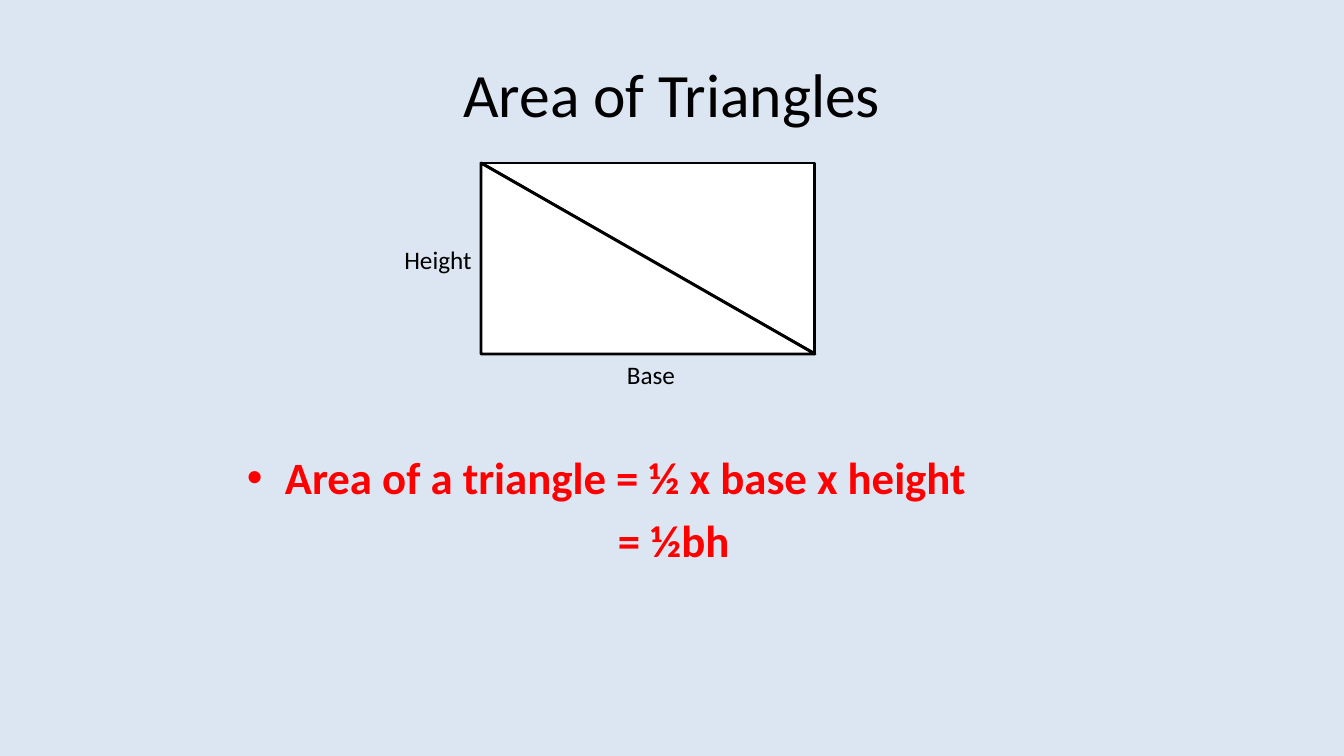
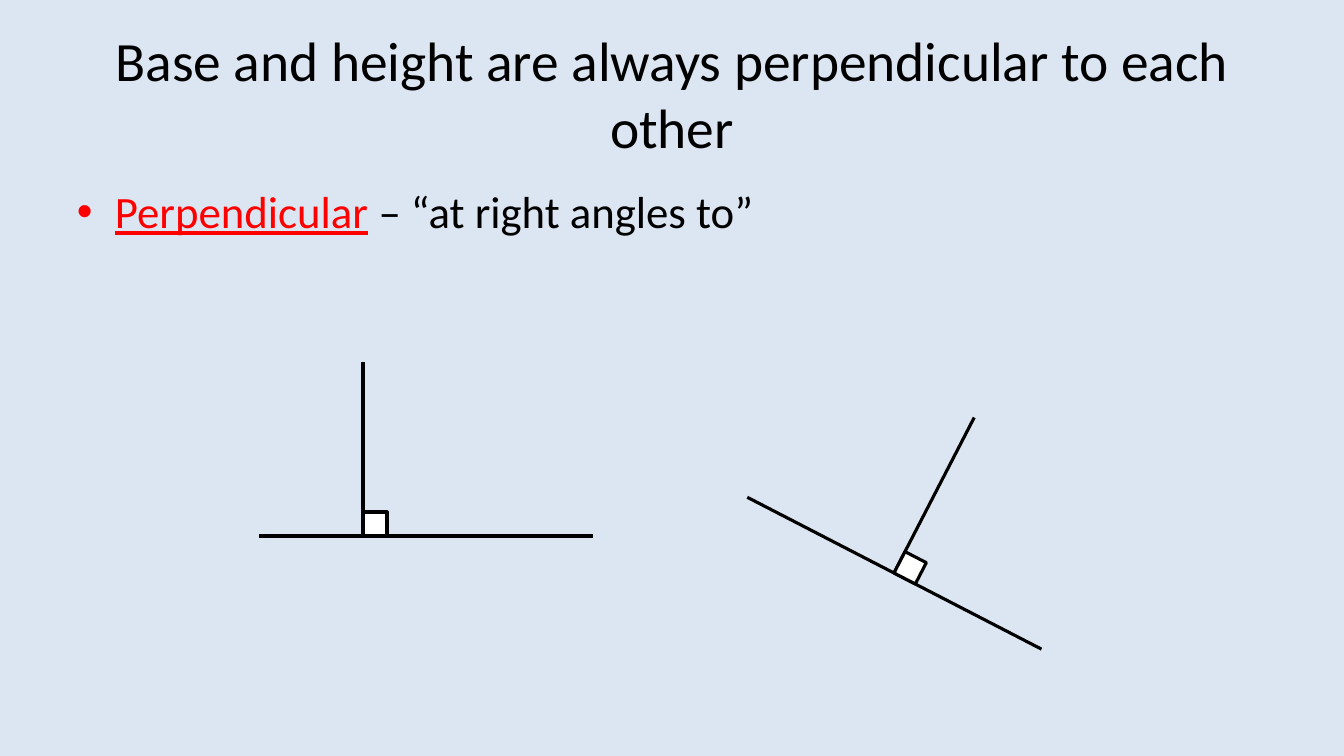
from dataclasses import dataclass
from math import cos, radians, sin

from lxml.etree import SubElement
from pptx import Presentation
from pptx.dml.color import RGBColor
from pptx.enum.shapes import MSO_CONNECTOR, MSO_SHAPE
from pptx.enum.text import MSO_ANCHOR, MSO_AUTO_SIZE, PP_ALIGN
from pptx.oxml.ns import qn
from pptx.util import Emu, Pt


@dataclass(frozen=True)
class Theme:
    font: str = "Calibri"
    background: RGBColor = RGBColor(0xDC, 0xE6, 0xF2)
    ink: RGBColor = RGBColor(0, 0, 0)
    accent: RGBColor = RGBColor(0xFF, 0, 0)
    paper: RGBColor = RGBColor(0xFF, 0xFF, 0xFF)
    title: float = 44
    long_title: float = 39.6
    body: float = 32
    label: float = 18
    body_gap: float = 6.4
    outline: float = 2
    stroke: float = 2.25


@dataclass(frozen=True)
class Box:
    left: int
    top: int
    width: int
    height: int

    def emu(self):
        return [px(side) for side in (self.left, self.top, self.width, self.height)]


THEME = Theme()
PIXELS_PER_INCH = 100.8
PAGE = Box(0, 0, 1344, 756)
TITLE_BOX = Box(67, 30, 1210, 126)
BULLET_INDENT = 38
CORNER = 24


def px(length):
    return Emu(round(length * 914400 / PIXELS_PER_INCH))


def write(para, text, *, size=THEME.body, color=THEME.ink, bold=False, underline=False):
    span = para.add_run()
    span.text = text
    font = span.font
    font.name, font.size, font.color.rgb = THEME.font, Pt(size), color
    font.bold, font.underline = bold, underline


def add_text_box(page, box):
    frame = page.shapes.add_textbox(*box.emu()).text_frame
    frame.word_wrap = True
    return frame


def indent(para, margin, bullet=None):
    properties = para._p.get_or_add_pPr()
    properties.set("marL", str(px(margin)))
    properties.set("indent", str(px(-margin) if bullet else 0))
    if bullet:
        SubElement(properties, qn("a:buFont"), typeface="Arial")
        SubElement(properties, qn("a:buChar"), char=bullet)


def add_label(page, box, text):
    para = add_text_box(page, box).paragraphs[0]
    para.alignment = PP_ALIGN.CENTER
    write(para, text, size=THEME.label)


def add_outline(page, kind, box, width=THEME.outline, turn=0):
    shape = page.shapes.add_shape(kind, *box.emu())
    shape.shadow.inherit = False
    shape.fill.solid()
    shape.fill.fore_color.rgb = THEME.paper
    shape.line.color.rgb = THEME.ink
    shape.line.width = Pt(width)
    shape.rotation = turn


def add_line(page, start, end):
    points = [px(value) for value in (*start, *end)]
    line = page.shapes.add_connector(MSO_CONNECTOR.STRAIGHT, *points)
    line.line.color.rgb = THEME.ink
    line.line.width = Pt(THEME.stroke)
    SubElement(line._element.spPr, qn("a:effectLst"))


def add_titled_page(deck, text, size):
    page = deck.slides.add_slide(deck.slide_layouts[5])
    title = page.shapes.title
    title.left, title.top, title.width, title.height = TITLE_BOX.emu()
    frame = title.text_frame
    frame.word_wrap = True
    frame.auto_size = MSO_AUTO_SIZE.NONE
    frame.vertical_anchor = MSO_ANCHOR.MIDDLE
    para = frame.paragraphs[0]
    para.alignment = PP_ALIGN.CENTER
    write(para, text, size=size)
    return page


def draw_split_rectangle(page, box):
    right, bottom = box.left + box.width, box.top + box.height
    add_outline(page, MSO_SHAPE.RECTANGLE, box)
    add_line(page, (box.left, box.top), (right, bottom))
    add_outline(page, MSO_SHAPE.RIGHT_TRIANGLE, box)
    add_label(page, Box(box.left + 79, bottom, 182, 40), "Base")
    add_label(page, Box(box.left - 134, box.top + 76, 182, 40), "Height")


def draw_right_angle(page, box, foot, turn=0):
    angle = radians(turn)
    foot_x, foot_y = box.left + foot, box.top + box.height

    def turned(along, up):
        return (foot_x + along * cos(angle) + up * sin(angle),
                foot_y + along * sin(angle) - up * cos(angle))

    add_line(page, turned(-foot, 0), turned(box.width - foot, 0))
    add_line(page, turned(0, 0), turned(0, box.height))
    center_x, center_y = turned(CORNER / 2, CORNER / 2)
    corner = Box(center_x - CORNER / 2, center_y - CORNER / 2, CORNER, CORNER)
    add_outline(page, MSO_SHAPE.RECTANGLE, corner, THEME.stroke, turn)


def write_formula(page, box):
    frame = add_text_box(page, box)
    rule = frame.paragraphs[0]
    indent(rule, BULLET_INDENT, "•")
    write(rule, "Area of a triangle = ½ x base x height", color=THEME.accent, bold=True)
    short_form = frame.add_paragraph()
    indent(short_form, 371)
    short_form.space_before = Pt(THEME.body_gap)
    write(short_form, "= ½bh", color=THEME.accent, bold=True)


def write_definition(page, box):
    para = add_text_box(page, box).paragraphs[0]
    indent(para, BULLET_INDENT, "•")
    write(para, "Perpendicular", color=THEME.accent, underline=True)
    write(para, " – “at right angles to”")


def build_area_page(deck):
    page = add_titled_page(deck, "Area of Triangles", THEME.title)
    write_formula(page, Box(237, 445, 1040, 244))
    draw_split_rectangle(page, Box(481, 163, 334, 191))


def build_perpendicular_page(deck):
    page = add_titled_page(
        deck, "Base and height are always perpendicular to each other", THEME.long_title)
    write_definition(page, Box(67, 179, 1210, 80))
    draw_right_angle(page, Box(259, 362, 334, 174), foot=104)
    draw_right_angle(page, Box(729, 398, 331, 175), foot=165, turn=27.3)


def main():
    deck = Presentation()
    deck.slide_width, deck.slide_height = px(PAGE.width), px(PAGE.height)
    fill = deck.slide_master.background.fill
    fill.solid()
    fill.fore_color.rgb = THEME.background
    build_area_page(deck)
    build_perpendicular_page(deck)
    deck.save("out.pptx")


if __name__ == "__main__":
    main()
